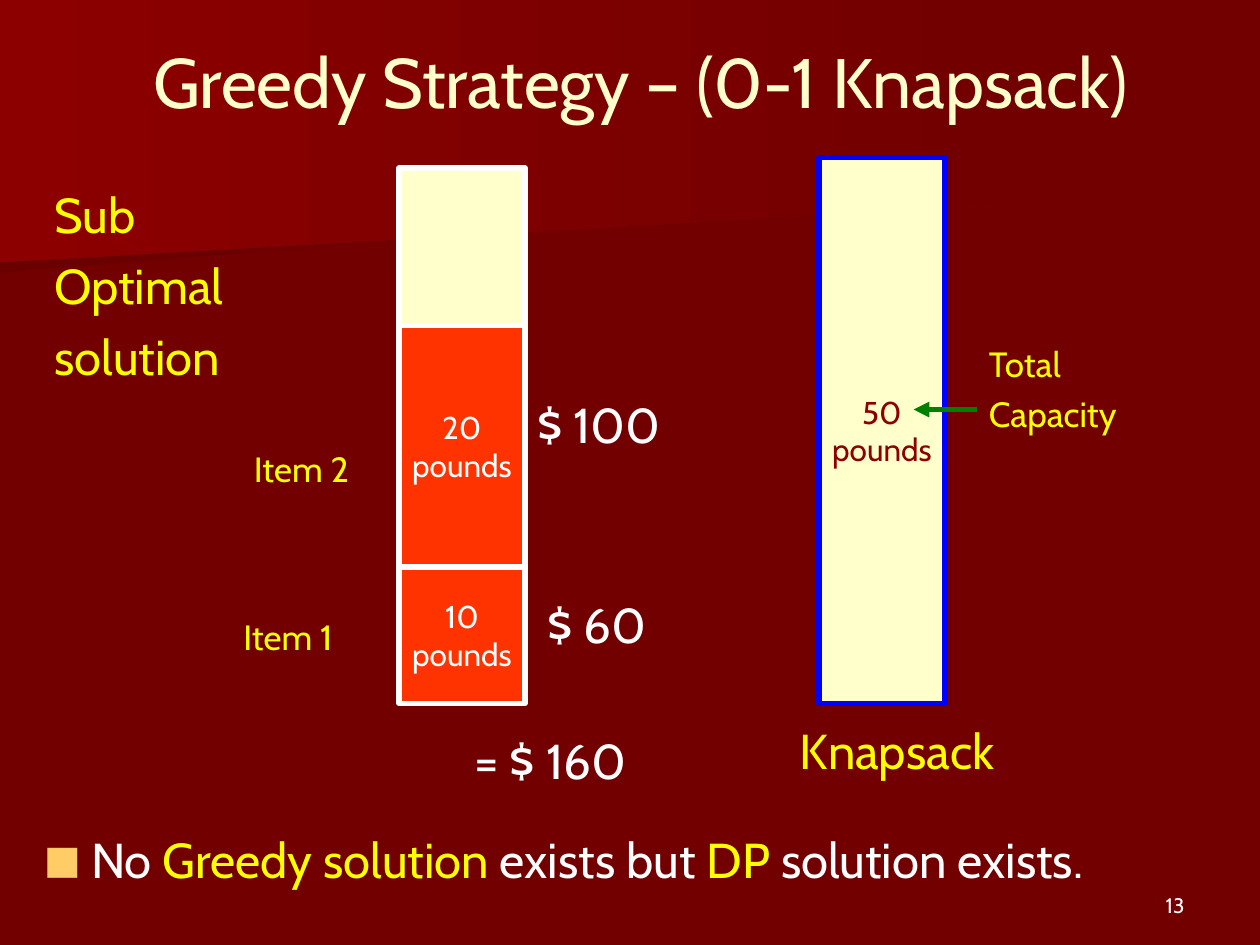
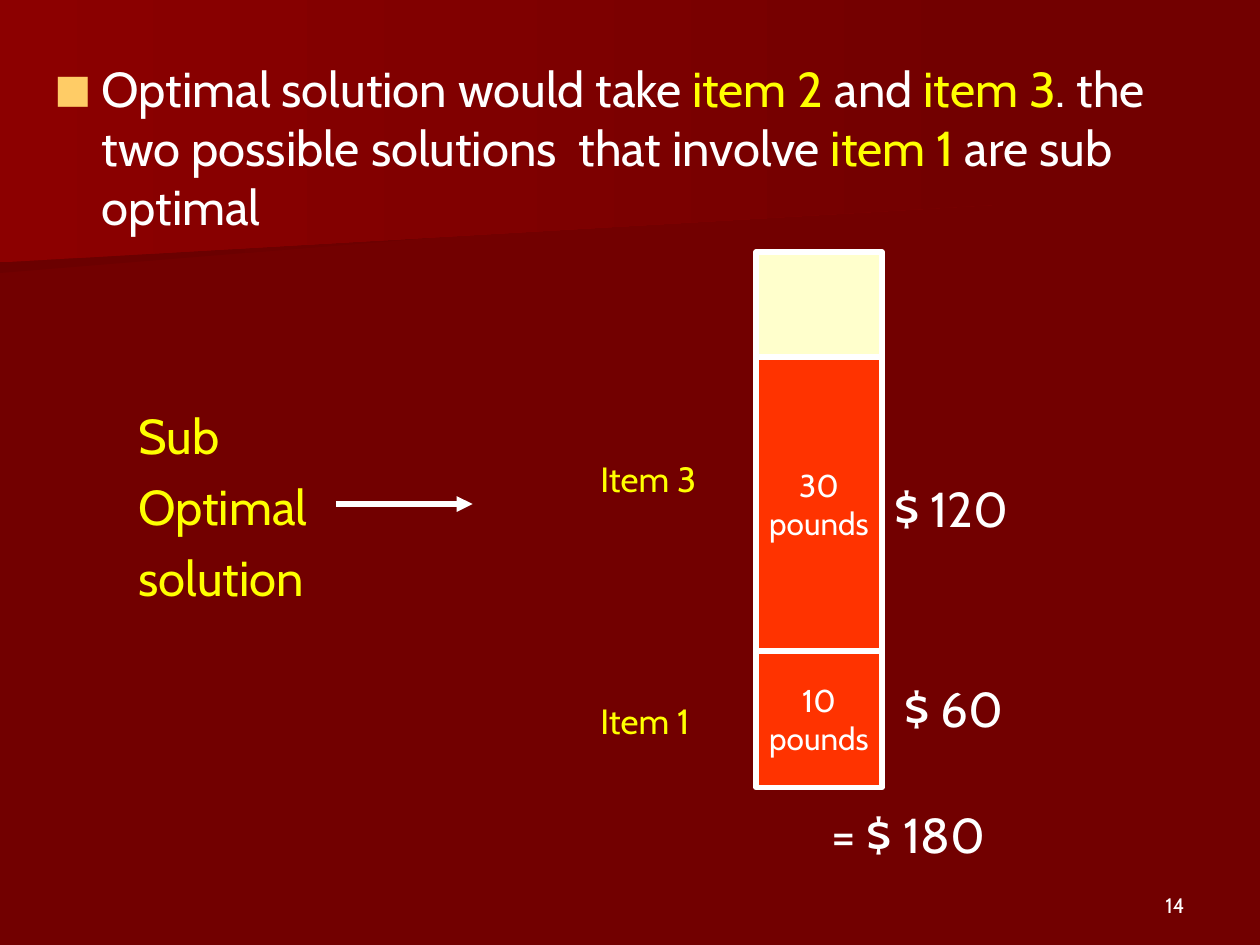
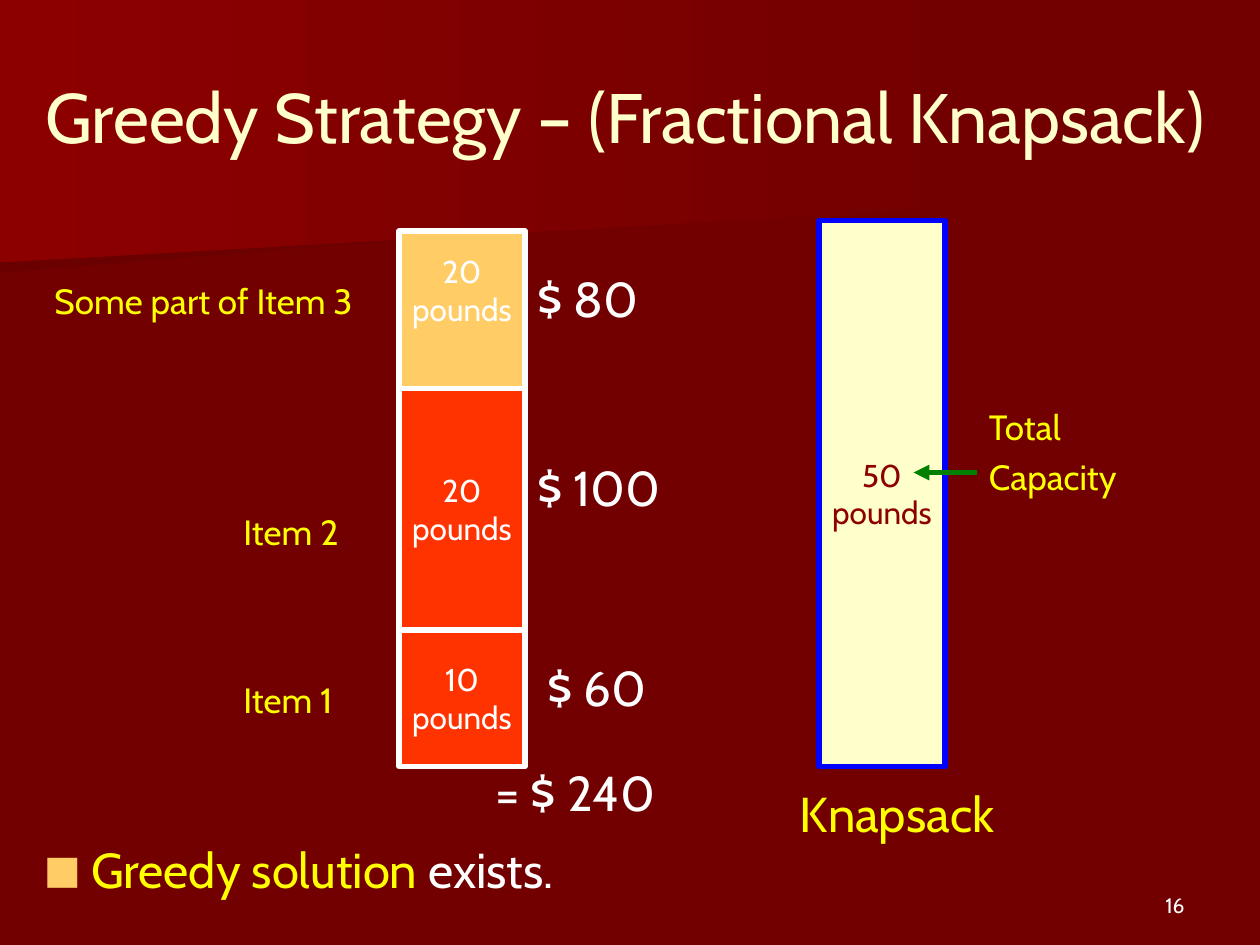
from lxml.etree import SubElement
from pptx import Presentation
from pptx.dml.color import RGBColor
from pptx.enum.shapes import MSO_CONNECTOR as Link, MSO_SHAPE as Form
from pptx.enum.text import MSO_ANCHOR as Anchor, PP_ALIGN as Align
from pptx.oxml.ns import qn
from pptx.util import Pt

PX = 9525  # EMU in one px, 96 px to the inch
FONT = "Cabin"
DARK = RGBColor(0x72, 0x00, 0x00)
SHADE = RGBColor(0x6B, 0x00, 0x00)
WINE = RGBColor(0x8C, 0x00, 0x00)
CREAM = RGBColor(0xFF, 0xFF, 0xCC)
WHITE = RGBColor(0xFF, 0xFF, 0xFF)
YELLOW = RGBColor(0xFF, 0xFF, 0x00)
RED = RGBColor(0xFF, 0x33, 0x00)
GOLD = RGBColor(0xFF, 0xCC, 0x66)
BLUE = RGBColor(0x00, 0x00, 0xFF)
GREEN = RGBColor(0x00, 0x80, 0x00)

BANDS = (
    (SHADE, [(747, 147), (0, 208), (0, 97), (748, 97), (747, 123)]),
    (WINE, [(760, 156), (0, 200), (0, 0), (760, 0)]),
)
WIDE = 96   # width of every bar
LOW = 104   # height of the 10 pound item
ROW = 56    # height of a one-line label
SUB = ("Sub", "Optimal", "solution")


class Deck:
    def __init__(self):
        self.prs = Presentation()
        self.prs.slide_width, self.prs.slide_height = 960 * PX, 720 * PX
        fill = self.prs.slide_master.background.fill
        fill.solid()
        fill.fore_color.rgb = DARK

    def page(self, num):
        """Start a slide with its bands and page number."""
        self.shapes = self.prs.slides.add_slide(self.prs.slide_layouts[6]).shapes
        for color, points in BANDS:
            self.band(color, points)
        self.text(688, 656, 224, 48, [[(num, WHITE)]], 12, Align.RIGHT, Anchor.BOTTOM)

    def band(self, color, points):
        pen = self.shapes.build_freeform(*points[0], scale=PX)
        pen.add_line_segments(points[1:], close=True)
        shape = pen.convert_to_shape()
        shape.shadow.inherit = False
        shape.line.fill.background()
        shape.fill.gradient()
        shape.fill.gradient_angle = 0
        for stop, tone in zip(shape.fill.gradient_stops, (color, DARK)):
            stop.color.rgb = tone

    def put(self, frame, lines, size, align=Align.LEFT, gap=0):
        """Fill a frame; each line is a list of (text, color) runs."""
        for i, runs in enumerate(lines):
            para = frame.add_paragraph() if i else frame.paragraphs[0]
            para.alignment = align
            para.space_before = Pt(gap)
            for text, color in runs:
                run = para.add_run()
                run.text = text
                run.font.name, run.font.size = FONT, Pt(size)
                run.font.color.rgb = color

    def text(self, x, y, w, h, lines, size, align=Align.LEFT, anchor=Anchor.TOP, gap=0):
        frame = self.shapes.add_textbox(x * PX, y * PX, w * PX, h * PX).text_frame
        frame.word_wrap = True
        frame.vertical_anchor = anchor
        self.put(frame, lines, size, align, gap)
        return frame

    def title(self, x, y, w, h, text):
        self.text(x, y, w, h, [[(text, CREAM)]], 40, Align.CENTER, Anchor.MIDDLE)

    def label(self, x, y, w, *lines, h=ROW, size=28, color=YELLOW):
        self.text(x, y, w, h, [[(line, color)] for line in lines], size, gap=size / 4)

    def note(self, x, y, w, text):
        self.label(x, y, w, text, size=20)

    def sum(self, x, y, text, w=128):
        self.label(x, y, w, text, color=WHITE)

    def bullet(self, x, y, w, h, runs, pitch=1.0):
        para = self.text(x, y, w, h, [runs], 28, gap=7).paragraphs[0]
        para.line_spacing = pitch
        props = para._p.get_or_add_pPr()
        props.set("marL", str(36 * PX))
        props.set("indent", str(-36 * PX))
        SubElement(SubElement(props, qn("a:buClr")), qn("a:srgbClr")).set("val", str(GOLD))
        SubElement(props, qn("a:buSzPct")).set("val", "80000")
        SubElement(props, qn("a:buFont")).set("typeface", FONT)
        SubElement(props, qn("a:buChar")).set("char", "■")

    def bar(self, x, y, h, fill, pounds=None, edge=WHITE, ink=WHITE, lift=0):
        """Draw a weight; lift raises its text above the middle."""
        shape = self.shapes.add_shape(Form.RECTANGLE, x * PX, y * PX, WIDE * PX, h * PX)
        shape.shadow.inherit = False
        shape.fill.solid()
        shape.fill.fore_color.rgb = fill
        shape.line.color.rgb = edge
        shape.line.width = Pt(3)
        if pounds:
            frame = shape.text_frame
            frame.word_wrap = False
            frame.vertical_anchor = Anchor.MIDDLE
            frame.margin_bottom = (5 + 2 * lift) * PX
            self.put(frame, [[(pounds, ink)], [("pounds", ink)]], 18, Align.CENTER)

    def pile(self, x, base, pounds, h, price):
        """Stack a heavier item on the 10 pound one, with both prices."""
        self.bar(x, base - LOW, LOW, RED, "10")
        self.bar(x, base - LOW - h, h, RED, pounds)
        self.sum(x + 104, base - 88, "$ 60", 96)
        self.sum(x + 96, base - 240, price)

    def sack(self, y):
        self.bar(624, y, 416, CREAM, "50", BLUE, WINE)
        self.label(600, y + 424, 176, "Knapsack")
        self.label(744, y + 136, 128, "Total", "Capacity", h=88, size=20)
        self.arrow(744, 696, y + 192, GREEN)

    def arrow(self, start, end, y, color):
        link = self.shapes.add_connector(Link.STRAIGHT, start * PX, y * PX, end * PX, y * PX)
        link.line.color.rgb = color
        link.line.width = Pt(3)
        props = link._element.spPr
        SubElement(props.find(qn("a:ln")), qn("a:tailEnd")).set("type", "triangle")
        SubElement(props, qn("a:effectLst"))


def whole(deck):
    deck.page("13")
    deck.title(56, 24, 864, 75, "Greedy Strategy – (0-1 Knapsack)")
    deck.sack(120)
    deck.bar(304, 128, 120, CREAM)
    deck.pile(304, 536, "20", 184, "$ 100")
    deck.sum(352, 552, "= $ 160", 168)
    deck.bullet(24, 632, 912, ROW, [
        ("No ", WHITE), ("Greedy solution", YELLOW), (" exists but ", WHITE),
        ("DP", YELLOW), (" solution exists.", WHITE)], 0.9)
    deck.note(176, 464, 104, "Item 1")
    deck.note(184, 336, 120, "Item 2")
    deck.label(32, 136, 152, *SUB, h=168)


def other(deck):
    deck.page("14")
    deck.bullet(32, 40, 896, 160, [
        ("Optimal solution would take ", WHITE), ("item 2", YELLOW), (" and ", WHITE),
        ("item 3", YELLOW), (". the two possible solutions  that involve ", WHITE),
        ("item 1", YELLOW), (" are sub optimal", WHITE)])
    deck.bar(576, 192, 120, CREAM)
    deck.pile(576, 600, "30", 224, "$ 120")
    deck.sum(624, 608, "= $ 180", 168)
    deck.note(448, 528, 104, "Item 1")
    deck.note(448, 344, 120, "Item 3")
    deck.label(96, 304, 152, *SUB, h=168)
    deck.arrow(256, 360, 384, WHITE)


def part(deck):
    deck.page("16")
    deck.title(24, 24, 904, 128, "Greedy Strategy – (Fractional Knapsack)")
    deck.sack(168)
    deck.bar(304, 176, 120, GOLD, "20", lift=15)
    deck.pile(304, 584, "20", 184, "$ 100")
    deck.sum(400, 200, "$ 80")
    deck.sum(368, 576, "= $ 240", 168)
    deck.bullet(24, 640, 912, ROW, [("Greedy solution", YELLOW), (" exists.", WHITE)], 0.9)
    deck.note(176, 512, 104, "Item 1")
    deck.note(176, 384, 120, "Item 2")
    deck.note(32, 208, 272, "Some part of Item 3")


def main():
    deck = Deck()
    for draw in (whole, other, part):
        draw(deck)
    deck.prs.save("out.pptx")


if __name__ == "__main__":
    main()
